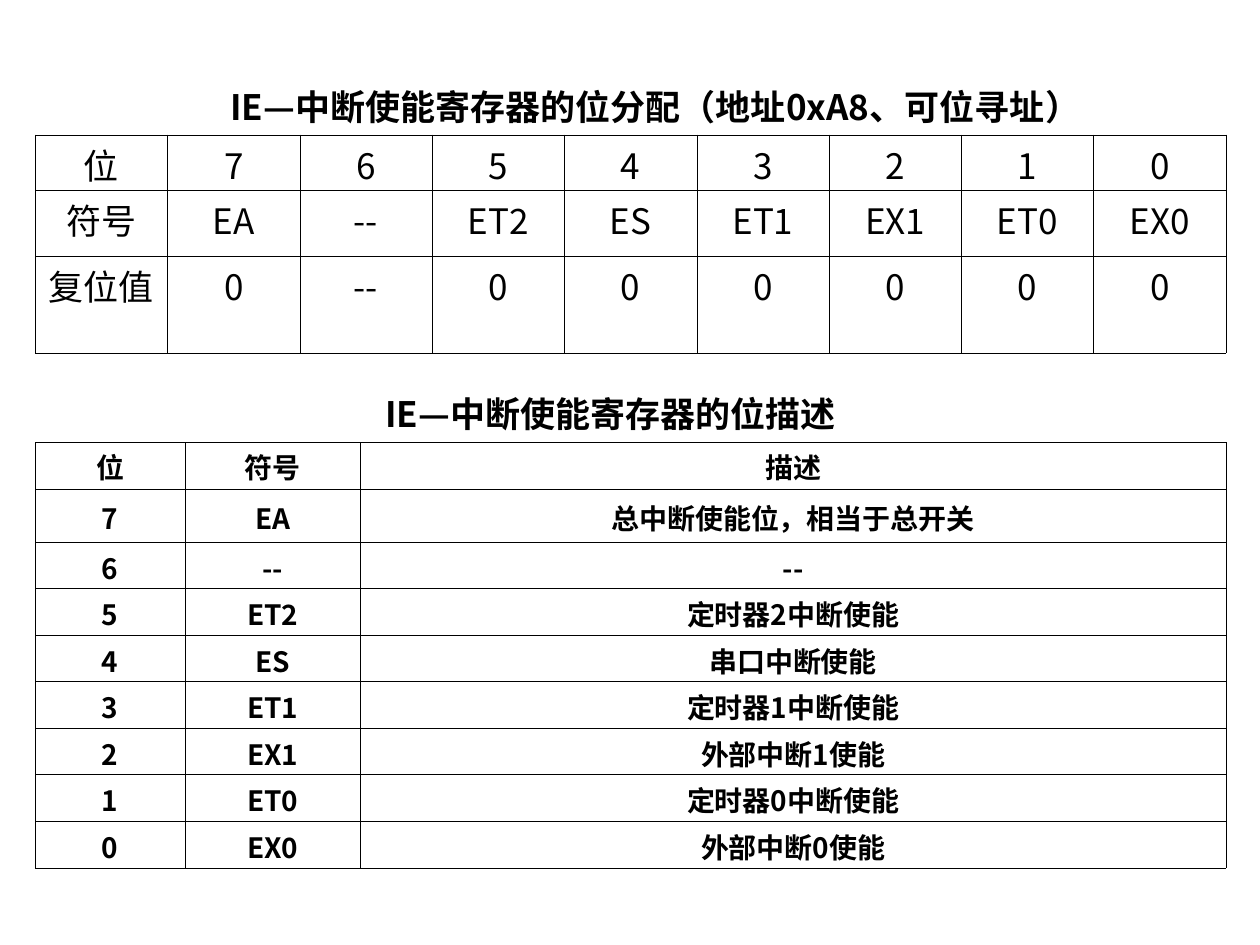
"""Build the slide on the IE interrupt enable register: bit layout and bit descriptions."""
from lxml.etree import SubElement
from pptx import Presentation
from pptx.dml.color import RGBColor
from pptx.enum.text import MSO_ANCHOR as VA, PP_ALIGN as HA
from pptx.oxml.ns import qn
from pptx.util import Inches, Pt

COLORS = {"ink": "000000", "line": "000000"}
FONT = "Noto Sans CJK SC"

prs = Presentation()
prs.slide_width, prs.slide_height = Inches(10), Inches(7.5)
s = prs.slides.add_slide(prs.slide_layouts[6])
COL, ROW = prs.slide_width / 100, prs.slide_height / 100


def write(tf, text, size, bold):
    p = tf.paragraphs[0]
    p.alignment = HA.CENTER
    r = p.add_run()
    r.text = text
    for key, value in {"size": Pt(size), "bold": bold, "name": FONT}.items():
        setattr(r.font, key, value)
    r.font.color.rgb = RGBColor.from_string(COLORS["ink"])
    SubElement(r.font._element, qn("a:ea"), typeface=FONT)


def border(cell):
    tc_pr = cell._tc.get_or_add_tcPr()
    for i, side in enumerate(("lnL", "lnR", "lnT", "lnB")):
        ln = tc_pr.makeelement(qn(f"a:{side}"), {"w": str(Pt(0.23))})
        fill = SubElement(ln, qn("a:solidFill"))
        SubElement(fill, qn("a:srgbClr"), val=COLORS["line"])
        tc_pr.insert(i, ln)


titles = [
    ("IE—中断使能寄存器的位分配（地址0xA8、可位寻址）", 13.8, 8, 76.4, 5.87),
    ("IE—中断使能寄存器的位描述", 20.9, 38.4, 55.1, 8),
]
for text, x, y, w, h in titles:
    tf = s.shapes.add_textbox(int(x * COL), int(y * ROW), int(w * COL), int(h * ROW)).text_frame
    frame = {"word_wrap": True, "vertical_anchor": VA.BOTTOM,
             "margin_top": 0, "margin_bottom": Inches(0.03)}
    for key, value in frame.items():
        setattr(tf, key, value)
    write(tf, text, 20, True)

bits = [str(n) for n in range(7, -1, -1)]
symbols = ["EA", "--", "ET2", "ES", "ET1", "EX1", "ET0", "EX0"]
resets = ["--" if symbol == "--" else "0" for symbol in symbols]
notes = ["总中断使能位，相当于总开关", "--", "定时器2中断使能", "串口中断使能",
         "定时器1中断使能", "外部中断1使能", "定时器0中断使能", "外部中断0使能"]

tables = [
    {"top": 14.27, "size": 20, "bold": False, "body": VA.TOP,
     "cols": [10.5] * 9, "rows": [5.87, 6.93, 10.27],
     "data": [["位", *bits], ["符号", *symbols], ["复位值", *resets]]},
    {"top": 46.8, "size": 16, "bold": True, "body": VA.MIDDLE,
     "cols": [11.9, 13.9, 68.7], "rows": [4.93, 5.6] + [4.93] * 7,
     "data": [["位", "符号", "描述"], *zip(bits, symbols, notes)]},
]
for t in tables:
    cols, rows = t["cols"], t["rows"]
    tb = s.shapes.add_table(len(rows), len(cols), int(2.8 * COL), int(t["top"] * ROW),
                            int(sum(cols) * COL), int(sum(rows) * ROW)).table
    tb.first_row = tb.horz_banding = False
    for col, w in zip(tb.columns, cols):
        col.width = int(w * COL)
    for i, (row, h) in enumerate(zip(tb.rows, rows)):
        row.height = int(h * ROW)
        for cell, text in zip(row.cells, t["data"][i]):
            layout = {"margin_top": Inches(0.03), "margin_bottom": 0,
                      "vertical_anchor": t["body"] if i else VA.TOP}
            for key, value in layout.items():
                setattr(cell, key, value)
            cell.fill.background()
            border(cell)
            write(cell.text_frame, text, t["size"], t["bold"])

prs.save("out.pptx")
